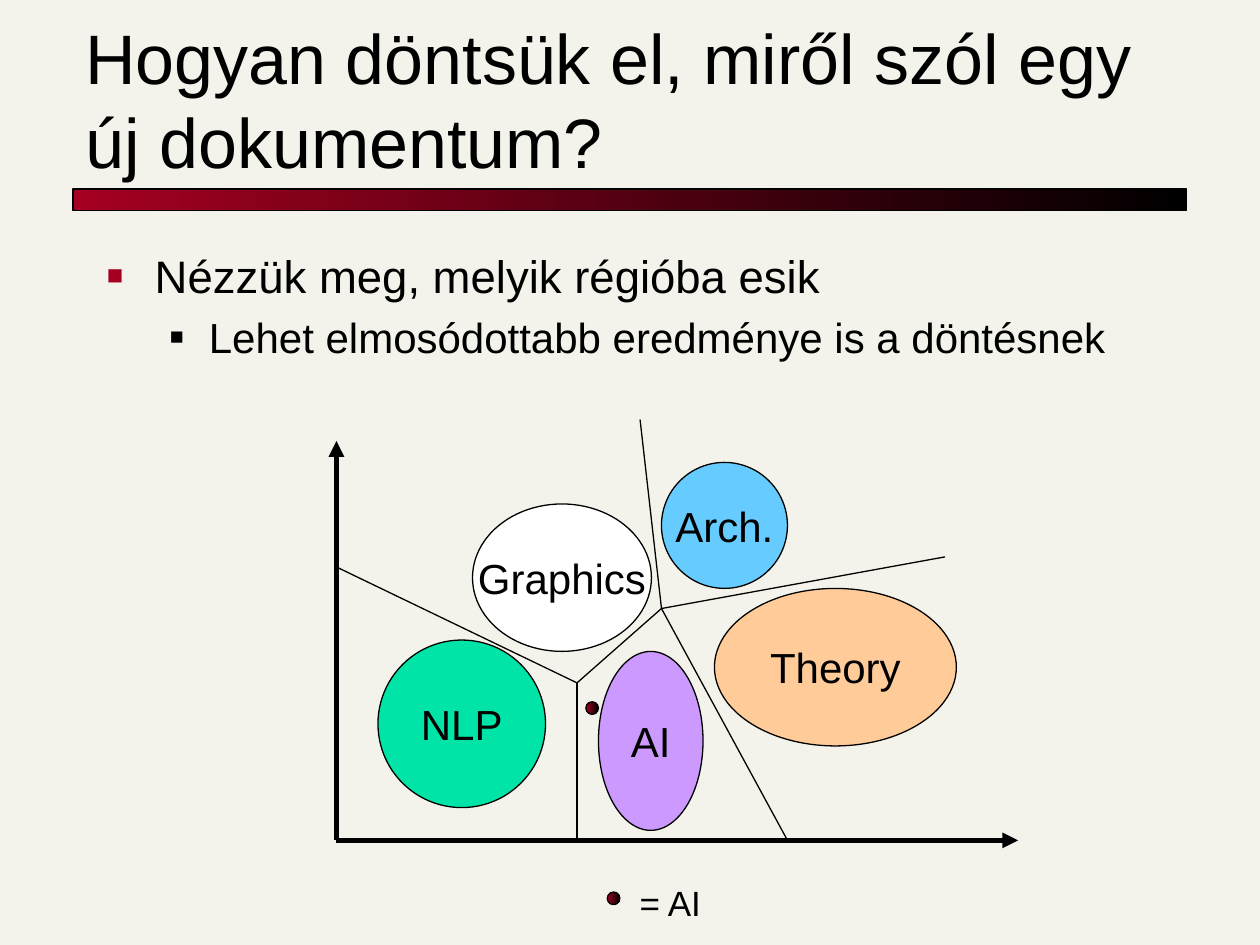
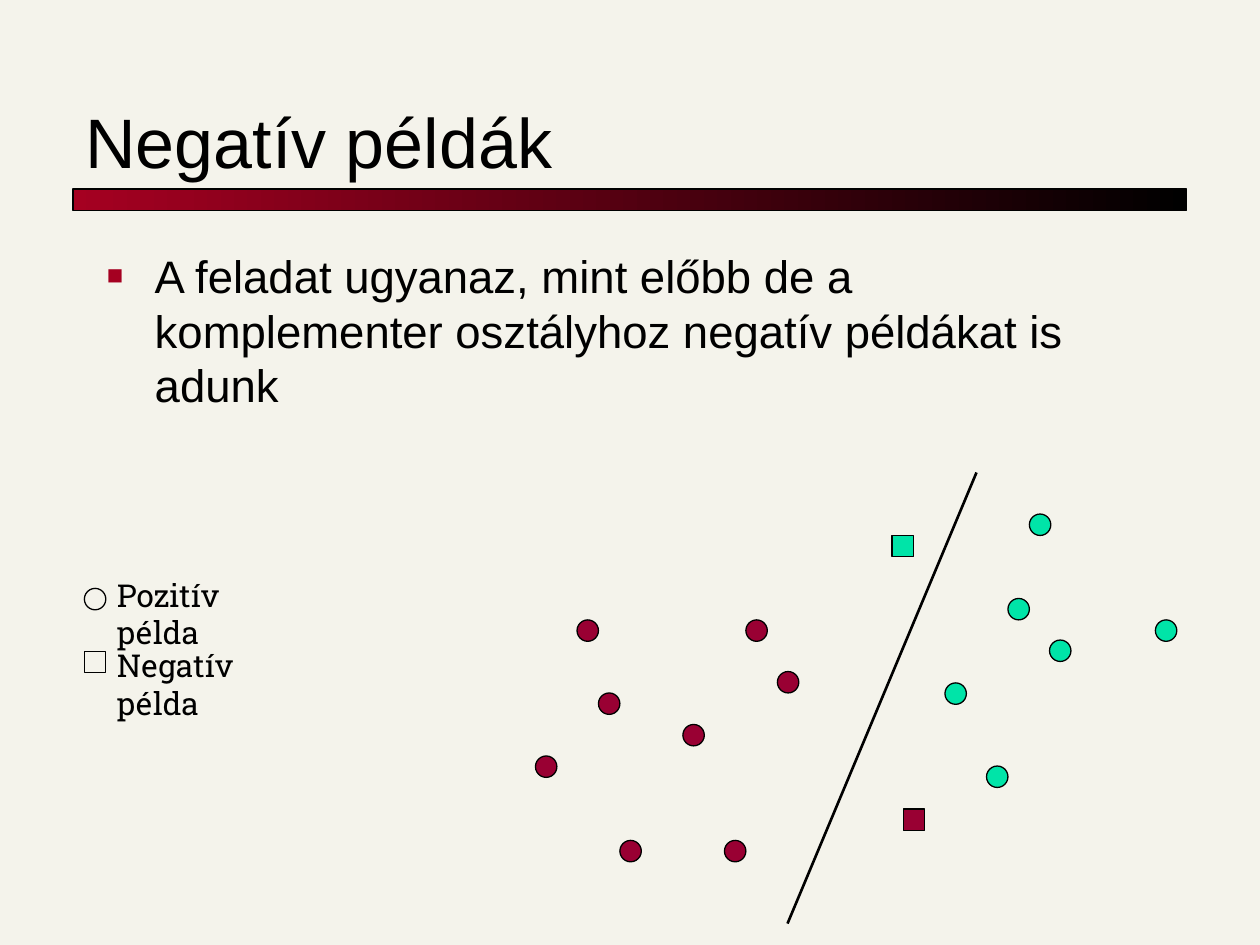
from lxml import etree
from pptx import Presentation
from pptx.dml.color import RGBColor
from pptx.enum.shapes import MSO_CONNECTOR, MSO_SHAPE
from pptx.enum.text import MSO_ANCHOR, PP_ALIGN
from pptx.oxml.ns import qn
from pptx.util import Inches, Pt

OVAL, RECT = MSO_SHAPE.OVAL, MSO_SHAPE.RECTANGLE
LINE = MSO_CONNECTOR.STRAIGHT
TOP, MID, LOW = MSO_ANCHOR.TOP, MSO_ANCHOR.MIDDLE, MSO_ANCHOR.BOTTOM
LEFT, MIDST = PP_ALIGN.LEFT, PP_ALIGN.CENTER
PAPER, BLACK, WHITE = "F4F3EB", "000000", "FFFFFF"
RED, WINE, GREEN = "A50021", "990033", "00E4A8"
SHADE = (RED, BLACK)

hue = RGBColor.from_string


def write(shape, text, size, anchor=TOP, align=LEFT, wrap=True, font="Arial"):
    frame = shape.text_frame
    for name, value in {"word_wrap": wrap, "vertical_anchor": anchor}.items():
        setattr(frame, name, value)
    para = frame.paragraphs[0]
    para.alignment = align
    run = para.add_run()
    run.text = text
    for name, value in {"size": Pt(size), "name": font}.items():
        setattr(run.font, name, value)
    run.font.color.rgb = hue(BLACK)
    return para


def draw(slide, kind, box, fill):
    shape = slide.shapes.add_shape(kind, *map(Inches, box))
    shape.shadow.inherit = False
    if fill == SHADE:
        shape.fill.gradient()
        shape.fill.gradient_angle = 0
        for stop, tone in zip(shape.fill.gradient_stops, SHADE):
            stop.color.rgb = hue(tone)
    elif fill:
        shape.fill.solid()
        shape.fill.fore_color.rgb = hue(fill)
    else:
        shape.fill.background()
    shape.line.color.rgb = hue(BLACK)
    shape.line.width = Pt(0.75)
    return shape


deck = Presentation()
deck.slide_width, deck.slide_height = Inches(10), Inches(7.5)

pages = [
    ("Hogyan döntsük el, miről szól egy új dokumentum?",
     [("Nézzük meg, melyik régióba esik", 0),
      ("Lehet elmosódottabb eredménye is a döntésnek", 1)]),
    ("Negatív példák",
     [("A feladat ugyanaz, mint előbb de a komplementer osztályhoz "
       "negatív példákat is adunk", 0)]),
]
levels = [
    {"size": 26, "left": 0.38, "hang": -0.38, "tone": RED, "scale": 60},
    {"size": 24, "left": 0.81, "hang": -0.31, "tone": BLACK, "scale": 55},
]
slides = []
for title, points in pages:
    slide = deck.slides.add_slide(deck.slide_layouts[6])
    slides.append(slide)
    slide.background.fill.solid()
    slide.background.fill.fore_color.rgb = hue(PAPER)
    draw(slide, RECT, (0.58, 1.5, 8.84, 0.17), SHADE)
    head = slide.shapes.add_textbox(*map(Inches, (0.58, 0.42, 8.83, 1.08)))
    write(head, title, 40, LOW)
    body = slide.shapes.add_textbox(*map(Inches, (0.75, 1.92, 8.5, 5.33)))
    frame = body.text_frame
    for i, (text, depth) in enumerate(points):
        look = levels[depth]
        if i == 0:
            para = write(body, text, look["size"])
        else:
            para = frame.add_paragraph()
            run = para.add_run()
            run.text = text
            run.font.size, run.font.name = Pt(look["size"]), "Arial"
            run.font.color.rgb = hue(BLACK)
        para.level = depth
        props = para._p.get_or_add_pPr()
        props.set("marL", str(Inches(look["left"])))
        props.set("indent", str(Inches(look["hang"])))
        space = etree.SubElement(props, qn("a:spcBef"))
        etree.SubElement(space, qn("a:spcPct"), val="20000")
        tint = etree.SubElement(props, qn("a:buClr"))
        etree.SubElement(tint, qn("a:srgbClr"), val=look["tone"])
        etree.SubElement(props, qn("a:buSzPct"), val=str(look["scale"] * 1000))
        etree.SubElement(props, qn("a:buFont"), typeface="Arial")
        etree.SubElement(props, qn("a:buChar"), char="■")

first, second = slides

topics = [
    ("NLP", (3, 5.08, 1.33, 1.33), GREEN),
    ("Graphics", (3.75, 4, 1.42, 1.17), WHITE),
    ("AI", (4.75, 5.17, 0.83, 1.42), "CC99FF"),
    ("Theory", (5.67, 4.67, 1.92, 1.25), "FFCC99"),
    ("Arch.", (5.25, 3.67, 1, 1), "66CCFF"),
]
for name, box, fill in topics:
    write(draw(first, OVAL, box, fill), name, 24, MID, MIDST, False)

zero, fork, node = (2.67, 6.67), (5.25, 4.83), (4.58, 5.42)
lines = [
    (first, zero, (8.08, 6.67), 3, True),
    (first, zero, (2.67, 3.5), 3, True),
    (first, fork, (5.08, 3.33), 0.75, False),
    (first, node, (4.58, 6.67), 0.75, False),
    (first, fork, (6.25, 6.67), 0.75, False),
    (second, (6.25, 7.33), (7.75, 3.75), 1.5, False),
]
for slide, start, end, width, arrow in lines:
    line = slide.shapes.add_connector(LINE, *map(Inches, start + end))
    line.line.color.rgb = hue(BLACK)
    line.line.width = Pt(width)
    props = line._element.spPr
    if arrow:
        etree.SubElement(props.find(qn("a:ln")), qn("a:tailEnd"), type="triangle")
    etree.SubElement(props, qn("a:effectLst"))

trail = [(2.67, 4.5), node, fork, (7.5, 4.42)]
dots = [(Inches(x), Inches(y)) for x, y in trail]
pen = first.shapes.build_freeform(*dots[0])
pen.add_line_segments(dots[1:], close=False)
edge = pen.convert_to_shape()
edge.shadow.inherit = False
edge.fill.background()
edge.line.color.rgb = hue(BLACK)
edge.line.width = Pt(0.75)

for x, y in [(4.65, 5.57), (4.82, 7.08)]:
    draw(first, OVAL, (x, y, 0.1, 0.1), SHADE)
key = first.shapes.add_textbox(*map(Inches, (4.97, 6.95, 0.7, 0.43)))
write(key, "= AI", 20, MID, MIDST, False)

marks = [
    (OVAL, WINE, [(4.58, 4.92), (4.75, 5.5), (4.92, 6.67), (5.92, 4.92),
                  (4.25, 6), (5.42, 5.75), (6.17, 5.33), (5.75, 6.67)]),
    (OVAL, GREEN, [(7.5, 5.42), (7.83, 6.08), (8, 4.75), (9.17, 4.92),
                   (8.33, 5.08), (8.17, 4.08)]),
    (RECT, WINE, [(7.17, 6.42)]),
    (RECT, GREEN, [(7.08, 4.25)]),
    (OVAL, None, [(0.67, 4.67)]),
    (RECT, None, [(0.67, 5.17)]),
]
for kind, fill, spots in marks:
    for x, y in spots:
        draw(second, kind, (x, y, 0.17, 0.17), fill)

for text, y, width in [("Pozitív példa", 4.52, 1.51), ("Negatív példa", 5.08, 1.6)]:
    note = second.shapes.add_textbox(*map(Inches, (0.83, y, width, 0.4)))
    write(note, text, 18, font="Roboto Slab")

deck.save("out.pptx")
